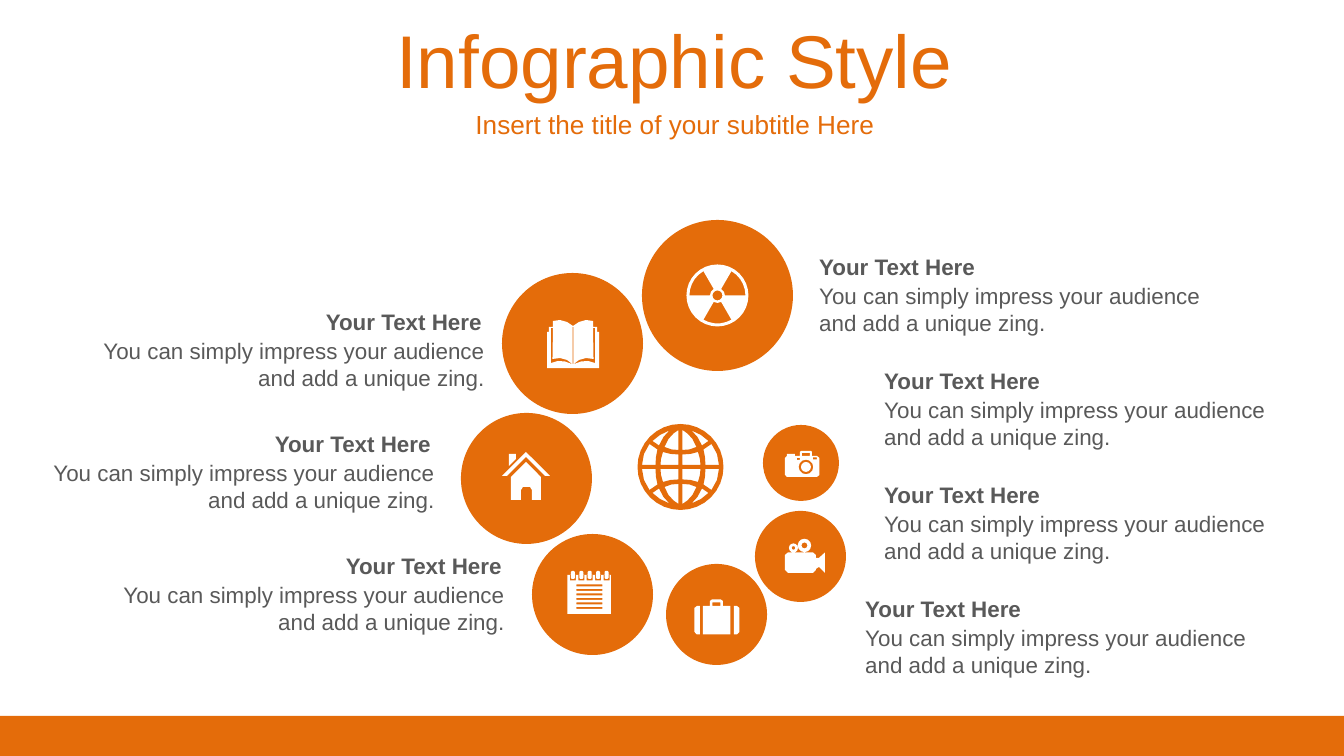
from math import cos, radians, sin

from pptx import Presentation
from pptx.dml.color import RGBColor
from pptx.enum.shapes import MSO_SHAPE
from pptx.enum.text import MSO_ANCHOR, PP_ALIGN
from pptx.util import Pt

ORANGE = RGBColor(0xE4, 0x6C, 0x0A)
GRAY = RGBColor(0x59, 0x59, 0x59)
WHITE = RGBColor(0xFF, 0xFF, 0xFF)

WIDTH, HEIGHT = 1344, 756
EMU_PER_PX = 9144000 / WIDTH

TITLE = "Infographic Style"
SUBTITLE = "Insert the title of your subtitle Here"
HEADING = "Your Text Here"
BODY = "You can simply impress your audience and add a unique zing."
BODY_OFFSET, HEADING_HEIGHT, BODY_HEIGHT = 29, 40, 67

# left, top, heading width, body width, alignment
TEXT_BLOCKS = [
    (852, 589, 445, 448, PP_ALIGN.LEFT),
    (871, 475, 445, 448, PP_ALIGN.LEFT),
    (871, 361, 445, 448, PP_ALIGN.LEFT),
    (806, 247, 445, 448, PP_ALIGN.LEFT),
    (70, 546, 445, 448, PP_ALIGN.RIGHT),
    (13, 424, 431, 435, PP_ALIGN.RIGHT),
    (50, 302, 445, 448, PP_ALIGN.RIGHT),
]

# left, top, diameter
CIRCLES = [
    (666, 564, 101), (642, 220, 151), (502, 273, 141), (461, 413, 131),
    (532, 534, 121), (755, 511, 91), (763, 425, 76),
]

# One quadrant of the globe's openings, measured from its centre
GLOBE_CENTER = (680.5, 467)
GLOBE_CELLS = [
    [(2, 17), (9, 17.5), (16, 20), (12, 28), (7, 33.5), (2, 37)],
    [(21.5, 21.5), (28, 26), (20.5, 32), (11, 36.5), (17, 30)],
    [(2, 2), (20, 2), (19.5, 8), (17.5, 15), (10, 13), (2, 12.5)],
    [(25, 2), (38.5, 2), (36.5, 13), (31, 23), (23, 17.5), (24.5, 10)],
]
BOOK_AXIS = 573
BOOK_HALF = [(547, 368), (547, 332), (549, 332), (549, 327), (553, 327),
             (553, 321), (560, 320), (567, 322), (573, 326)]
BOOK_SLIT = [(551, 328), (553, 328), (552.5, 359), (560, 358), (567, 360),
             (573, 364.5), (565, 361.5), (558, 361), (551, 363)]


def arc(x, y, radius, start, end, steps):
    """Points along an arc, angles in degrees clockwise from the right."""
    angles = [radians(start + (end - start) * i / steps) for i in range(steps + 1)]
    return [(x + radius * cos(angle), y + radius * sin(angle)) for angle in angles]


def circle(x, y, radius):
    steps = 32 if radius > 20 else 12 if radius > 4 else 8
    return arc(x, y, radius, 0, 360, steps)[:-1]


def box(left, top, right, bottom):
    return [(left, top), (right, top), (right, bottom), (left, bottom)]


def capsule(left, top, right, bottom, cut):
    return [(left + cut, top), (right - cut, top), (right, top + cut), (right, bottom - cut),
            (right - cut, bottom), (left + cut, bottom), (left, bottom - cut), (left, top + cut)]


def mirror(points, axis):
    return [(2 * axis - x, y) for x, y in reversed(points)]


def globe():
    x, y = GLOBE_CENTER
    return [circle(x, y, 43)] + [
        [(x + sx * dx, y + sy * dy) for dx, dy in cell]
        for cell in GLOBE_CELLS for sx in (1, -1) for sy in (1, -1)]


def radiation():
    x, y = 717.5, 295.5
    sectors = [arc(x, y, 28, a, a + 60, 5) + arc(x, y, 7.5, a + 60, a, 2)
               for a in (60, 180, 300)]
    return [circle(x, y, 31), circle(x, y, 5)] + sectors


def book():
    return [BOOK_HALF + mirror(BOOK_HALF, BOOK_AXIS), BOOK_SLIT,
            mirror(BOOK_SLIT, BOOK_AXIS), box(572.5, 327, 573.5, 364)]


def notepad():
    lines = [box(576.5, 584.5 + 4.5 * i, 602.5, 586.5 + 4.5 * i) for i in range(6)]
    ring_centers = [573 + 8.4 * i for i in range(5)]
    notches = [box(x - 3, 575, x + 3, 580.5) for x in ring_centers]
    rings = [capsule(x - 2, 571, x + 2, 579, 1) for x in ring_centers]
    return [box(567.5, 575, 611, 614)] + lines + notches + rings


def camera():
    body = [(785, 458), (787, 456), (787, 454), (795, 454), (795, 456), (800, 456),
            (800, 452), (801, 451), (811, 451), (812, 452), (812, 456), (817, 456),
            (819.5, 458), (819.5, 475), (817, 477), (787, 477), (785, 475)]
    return [body, box(802, 453, 810, 456), circle(806, 467, 7.3), circle(806, 467, 5),
            box(797, 458, 800, 460), box(813, 457.5, 817, 459.5)]


def video_camera():
    body = [(785, 555), (788, 552.5), (813, 552.5), (816, 555), (816, 558), (819, 558),
            (825, 552.5), (825, 573), (819, 567), (816, 569), (816, 570), (813, 573),
            (788, 573), (785, 570)]
    return [body, circle(793.5, 548, 4.5), circle(793.5, 548, 1.8),
            circle(804.5, 545.5, 6.7), circle(804.5, 545.5, 3)]


def suitcase():
    middle = [(703, 606), (710, 606), (710, 601), (712, 599.5), (721, 599.5), (723, 601),
              (723, 606), (730.5, 606), (730.5, 634.5), (703, 634.5)]
    left = [(700, 606), (700, 634.5), (697, 634.5), (694.5, 632), (694.5, 608), (697, 606)]
    return [left, middle, mirror(left, 717), box(712.5, 602.5, 720.5, 606)]


def house():
    roof = [(526, 452), (550, 476), (545, 476), (526, 457), (507, 476), (502, 476)]
    chimney = [(509, 454), (516, 454), (516, 459), (509, 466)]
    walls = [(526, 462), (541, 477), (541, 500), (532, 500), (532, 490), (530, 487),
             (523, 487), (521, 490), (521, 500), (511, 500), (511, 477)]
    return [roof, chimney, walls]


ICONS = [(globe, ORANGE), (camera, WHITE), (book, WHITE), (video_camera, WHITE),
         (suitcase, WHITE), (radiation, WHITE), (notepad, WHITE), (house, WHITE)]


def px(*values):
    return [round(value * EMU_PER_PX) for value in values]


def paint(shape, color):
    shape.shadow.inherit = False
    shape.fill.solid()
    shape.fill.fore_color.rgb = color
    shape.line.fill.background()


def add_icon(shapes, contours, color):
    first, *others = [[px(*point) for point in contour] for contour in contours]
    builder = shapes.build_freeform(*first[0], scale=1.0)
    builder.add_line_segments(first[1:], close=True)
    for contour in others:
        builder.move_to(*contour[0])
        builder.add_line_segments(contour[1:], close=True)
    paint(builder.convert_to_shape(), color)


def write(shape, text, alignment, color, anchor=MSO_ANCHOR.TOP, **font_format):
    frame = shape.text_frame
    frame.word_wrap = True
    frame.vertical_anchor = anchor
    paragraph = frame.paragraphs[0]
    paragraph.alignment = alignment
    run = paragraph.add_run()
    run.text = text
    for name, value in {"name": "Arial", **font_format}.items():
        setattr(run.font, name, value)
    run.font.color.rgb = color


def main():
    presentation = Presentation()
    presentation.slide_width, presentation.slide_height = px(WIDTH, HEIGHT)
    slide = presentation.slides.add_slide(presentation.slide_layouts[5])
    shapes = slide.shapes

    paint(shapes.add_shape(MSO_SHAPE.RECTANGLE, *px(0, 716, WIDTH, 40)), ORANGE)

    for left, top, heading_width, body_width, alignment in TEXT_BLOCKS:
        group = shapes.add_group_shape().shapes
        body = group.add_textbox(*px(left, top + BODY_OFFSET, body_width, BODY_HEIGHT))
        write(body, BODY, alignment, GRAY, size=Pt(12))
        heading = group.add_textbox(*px(left, top, heading_width, HEADING_HEIGHT))
        write(heading, HEADING, alignment, GRAY, size=Pt(12), bold=True)

    circles = shapes.add_group_shape().shapes
    for left, top, diameter in CIRCLES:
        paint(circles.add_shape(MSO_SHAPE.OVAL, *px(left, top, diameter, diameter)), ORANGE)

    for icon, color in ICONS:
        add_icon(shapes, icon(), color)

    title = shapes.title
    title.left, title.top, title.width, title.height = px(4, 18, 1340, 81)
    write(title, TITLE, PP_ALIGN.CENTER, ORANGE, MSO_ANCHOR.MIDDLE, size=Pt(40))
    subtitle = shapes.add_textbox(*px(7, 103, 1336, 42))
    write(subtitle, SUBTITLE, PP_ALIGN.CENTER, ORANGE, MSO_ANCHOR.MIDDLE, size=Pt(14))

    presentation.save("out.pptx")


if __name__ == "__main__":
    main()
